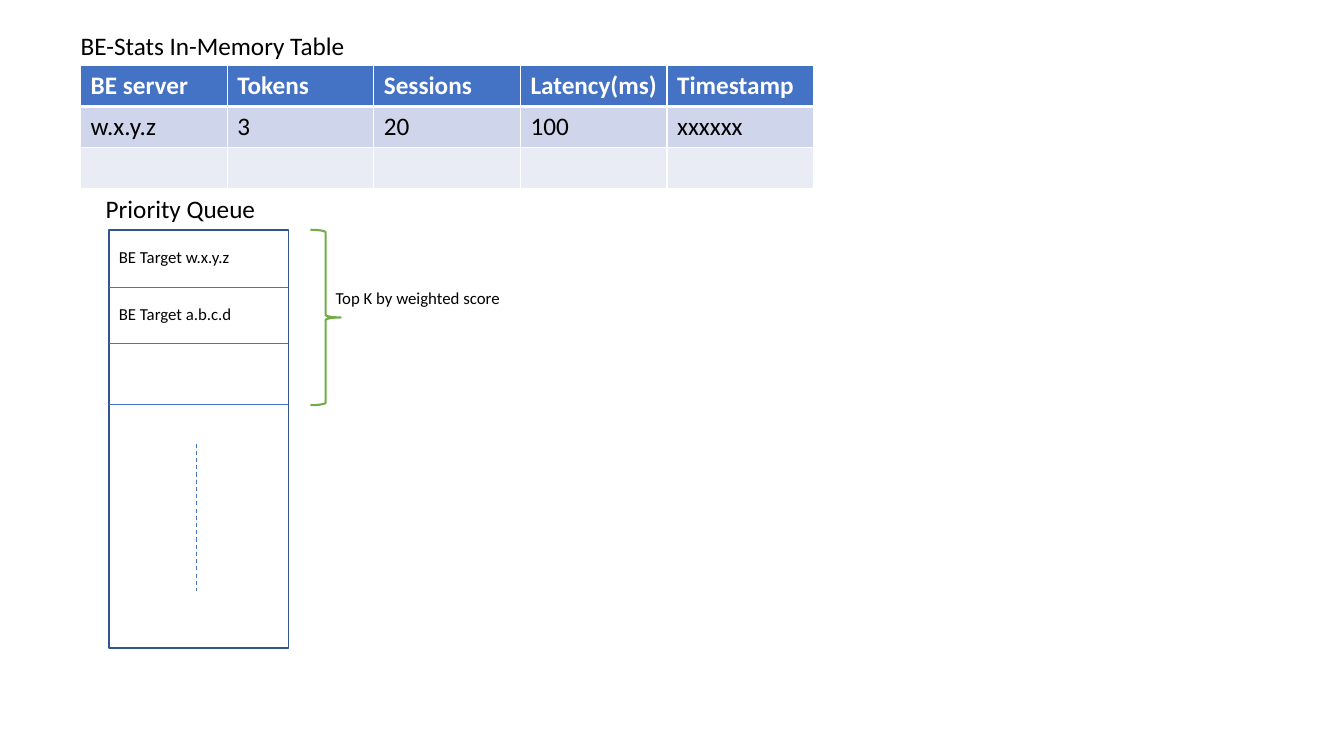
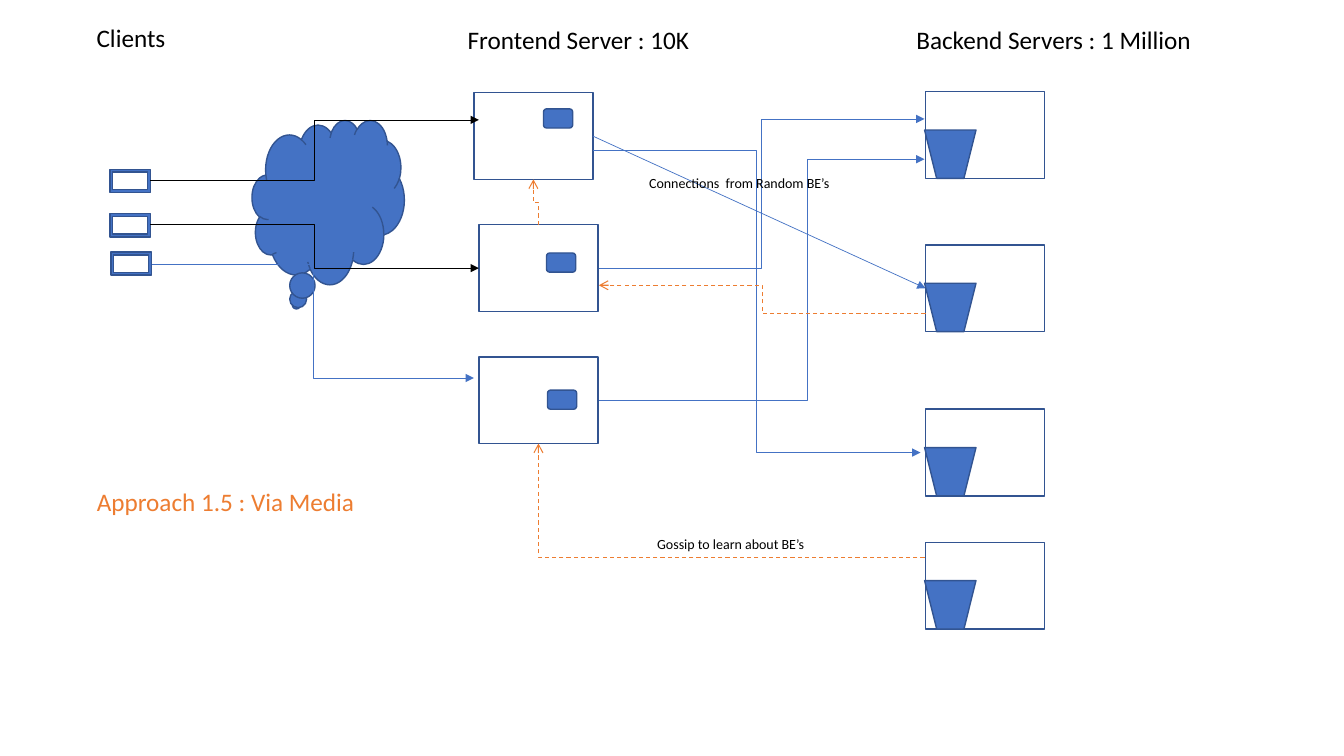
from lxml.etree import SubElement
from pptx import Presentation
from pptx.dml.color import RGBColor
from pptx.enum.dml import MSO_LINE
from pptx.enum.shapes import MSO_CONNECTOR, MSO_SHAPE
from pptx.enum.text import MSO_ANCHOR, MSO_AUTO_SIZE, PP_ALIGN
from pptx.oxml.ns import qn
from pptx.util import Pt

PX = 9144  # 100 px to the inch
FONT = "Calibri"
COLORS = {
    "blue": "4472C4", "outline": "325491", "orange": "ED7D31", "green": "70AD47",
    "black": "000000", "white": "FFFFFF", "band_dark": "CFD5EA", "band_light": "E9EBF5",
}

# Slide 1 content
STATS_TITLE = ("BE-Stats In-Memory Table", 70, 25, 294, "black")
STATS_ROWS = [
    ("BE server", "Tokens", "Sessions", "Latency(ms)", "Timestamp"),
    ("w.x.y.z", "3", "20", "100", "xxxxxx"),
    ("", "", "", "", ""),
]
STATS_FILLS = ["blue", "band_dark", "band_light"]
STATS_HEIGHTS = [40, 41, 40]
STATS_BOX = (80, 65, 727)
QUEUE = (108, 228, 178, 415)
QUEUE_DIVIDERS = [285, 341, 401]
QUEUE_MORE = ((195, 440), (195, 586))
TOP_K_BRACE = (308, 228, 30, 174)
QUEUE_LABELS = [  # text, left, top, width, points
    ("Priority Queue", 95, 187, 234, 18),
    ("Top K by weighted score", 323, 281, 320, 12),
    ("BE Target w.x.y.z", 108, 240, 150, 12),
    ("BE Target a.b.c.d", 108, 296, 150, 12),
]

# Slide 2 content
APPROACH_TITLE = ("Approach 1.5 : Via Media", 86, 477, 300, "orange")
SERVER_SIZE = (118, 86)
FRONTENDS = [(470, 92), (475, 223), (475, 354)]
FRONTEND_CACHES = [(539, 108), (542, 251), (543, 387)]
BACKEND_LEFT, BACKEND_TOPS = 918, [91, 243, 406, 538]
BUCKET_SIZE = (51, 48)
CLOUD = (250, 119, 151, 163)
CLIENTS = [(109, 168), (109, 212), (110, 250)]
ROUTES = [  # start, end, colour, bend position
    ((149, 179), (475, 119), "black", 50),
    ((149, 223), (475, 266), "black", 50),
    ((594, 266), (917, 118), "blue", 50),
    ((151, 262), (470, 375), "blue", 50),
    ((594, 397), (917, 158), "blue", 63.9),
    ((588, 149), (913, 449), "blue", 50),
]
GOSSIP_ROUTES = [  # start, end, quarter turns, bends
    ((917, 553), (534, 440), 2, 1),
    ((918, 311), (594, 283), 2, 2),
    ((534, 223), (529, 178), 3, 2),
]
FARM_LABELS = [
    ("Clients", 86, 17, 110, 18),
    ("Frontend Server : 10K", 454, 19, 267, 18),
    ("Backend Servers : 1 Million", 899, 19, 333, 18),
    ("Connections  from Random BE’s", 634, 168, 220, 10),
    ("Gossip to learn about BE’s", 642, 526, 190, 10),
]


def px(*lengths):
    return [round(length * PX) for length in lengths]


def rgb(name):
    return RGBColor.from_string(COLORS[name])


def write(frame, text, points, color="black", bold=False):
    para = frame.paragraphs[0]
    para.alignment = PP_ALIGN.LEFT
    span = para.add_run()
    span.text = text
    span.font.name, span.font.size, span.font.bold = FONT, Pt(points), bold
    span.font.color.rgb = rgb(color)


def add_page(deck, title):
    text, left, top, width, color = title
    page = deck.slides.add_slide(deck.slide_layouts[5])
    box = page.shapes.title
    box.left, box.top, box.width, box.height = px(left, top, width, 40)
    frame = box.text_frame
    frame.word_wrap = True
    frame.auto_size = MSO_AUTO_SIZE.NONE
    frame.vertical_anchor = MSO_ANCHOR.TOP
    write(frame, text, 18, color)
    return page


def add_labels(page, labels):
    for text, left, top, width, points in labels:
        box = page.shapes.add_textbox(*px(left, top, width, points + 20))
        box.text_frame.word_wrap = True
        write(box.text_frame, text, points)


def add_part(page, kind, box, fill="blue", line="outline", weight=1):
    shape = page.shapes.add_shape(kind, *px(*box))
    shape.shadow.inherit = False
    if fill:
        shape.fill.solid()
        shape.fill.fore_color.rgb = rgb(fill)
    else:
        shape.fill.background()
    shape.line.color.rgb = rgb(line)
    shape.line.width = Pt(weight)
    return shape


def add_line(page, start, end, color="blue", weight=0.5, kind=MSO_CONNECTOR.STRAIGHT,
             dashed=False, head=None):
    line = page.shapes.add_connector(kind, *px(*start, *end))
    line.line.color.rgb = rgb(color)
    line.line.width = Pt(weight)
    if dashed:
        line.line.dash_style = MSO_LINE.DASH
    properties = line._element.spPr
    if head:
        SubElement(properties.find(qn("a:ln")), qn("a:tailEnd"), type=head)
    SubElement(properties, qn("a:effectLst"))
    return line


def add_route(page, start, end, color, bend=50, turns=0, bends=2, **style):
    # Undo the quarter turns around the centre, then let the rotation restore them
    middle = [(a + b) / 2 for a, b in zip(start, end)]
    x, y = start[0] - middle[0], start[1] - middle[1]
    for _ in range(-turns % 4):
        x, y = -y, x
    begin = (middle[0] + x, middle[1] + y)
    finish = (middle[0] - x, middle[1] - y)
    route = add_line(page, begin, finish, color, kind=MSO_CONNECTOR.ELBOW, **style)
    properties = route._element.spPr
    geometry = properties.find(qn("a:prstGeom"))
    if turns:
        properties.find(qn("a:xfrm")).set("rot", str(turns * 5400000))
    if bends == 1:
        geometry.set("prst", "bentConnector2")
    if bend != 50:
        SubElement(geometry.find(qn("a:avLst")), qn("a:gd"),
                   name="adj1", fmla=f"val {round(bend * 1000)}")


def style_cell(cell, fill, top, bottom):
    properties = cell._tc.get_or_add_tcPr()
    for side, weight in (("L", 1), ("R", 1), ("T", top), ("B", bottom)):
        border = SubElement(properties, qn(f"a:ln{side}"), w=str(Pt(weight)))
        paint = SubElement(border, qn("a:solidFill"))
        SubElement(paint, qn("a:srgbClr"), val=COLORS["white"])
    cell.fill.solid()
    cell.fill.fore_color.rgb = rgb(fill)


def add_stats_table(page):
    columns = len(STATS_ROWS[0])
    frame = page.shapes.add_table(len(STATS_ROWS), columns,
                                  *px(*STATS_BOX, sum(STATS_HEIGHTS)))
    table = frame.table
    table.horz_banding = False
    for index, (texts, fill, height) in enumerate(zip(STATS_ROWS, STATS_FILLS, STATS_HEIGHTS)):
        header = index == 0
        table.rows[index].height = px(height)[0]
        for column, text in enumerate(texts):
            cell = table.cell(index, column)
            style_cell(cell, fill, 3 if index == 1 else 1, 3 if header else 1)
            if text:
                write(cell.text_frame, text, 18, "white" if header else "black", header)


def build_queue_page(deck):
    page = add_page(deck, STATS_TITLE)
    add_stats_table(page)
    # Queue with its slots
    add_part(page, MSO_SHAPE.RECTANGLE, QUEUE, "white")
    left, width = QUEUE[0], QUEUE[2]
    for y in QUEUE_DIVIDERS:
        add_line(page, (left, y), (left + width, y))
    add_line(page, *QUEUE_MORE, weight=0.75, dashed=True)
    add_part(page, MSO_SHAPE.RIGHT_BRACE, TOP_K_BRACE, None, "green", 1.5)
    add_labels(page, QUEUE_LABELS)


def build_servers_page(deck):
    page = add_page(deck, APPROACH_TITLE)
    # Servers, cloud and clients
    frontends = [add_part(page, MSO_SHAPE.RECTANGLE, (*place, *SERVER_SIZE), "white")
                 for place in FRONTENDS]
    backends = [add_part(page, MSO_SHAPE.RECTANGLE, (BACKEND_LEFT, top, *SERVER_SIZE), "white")
                for top in BACKEND_TOPS]
    add_part(page, MSO_SHAPE.CLOUD_CALLOUT, CLOUD)
    for place in CLIENTS:
        add_part(page, MSO_SHAPE.FRAME, (*place, 40, 23))
    # Direct connection, joined to both servers
    direct = add_line(page, (588, 135), (918, 286), head="triangle")
    direct.begin_connect(frontends[0], 3)
    direct.end_connect(backends[1], 1)
    # Token buckets stand on the server floor
    for top in BACKEND_TOPS:
        floor = top + SERVER_SIZE[1] - BUCKET_SIZE[1]
        bucket = add_part(page, MSO_SHAPE.TRAPEZOID, (BACKEND_LEFT - 1, floor, *BUCKET_SIZE))
        bucket.rotation = 180
    for place in FRONTEND_CACHES:
        add_part(page, MSO_SHAPE.FLOWCHART_ALTERNATE_PROCESS, (*place, 29, 19))
    # Request and gossip routes
    for start, end, color, bend in ROUTES:
        add_route(page, start, end, color, bend, head="triangle")
    for start, end, turns, bends in GOSSIP_ROUTES:
        add_route(page, start, end, "orange", turns=turns, bends=bends,
                  weight=0.75, dashed=True, head="arrow")
    add_labels(page, FARM_LABELS)


def main():
    deck = Presentation()
    deck.slide_width, deck.slide_height = px(1333, 750)
    build_queue_page(deck)
    build_servers_page(deck)
    deck.save("out.pptx")


if __name__ == "__main__":
    main()
